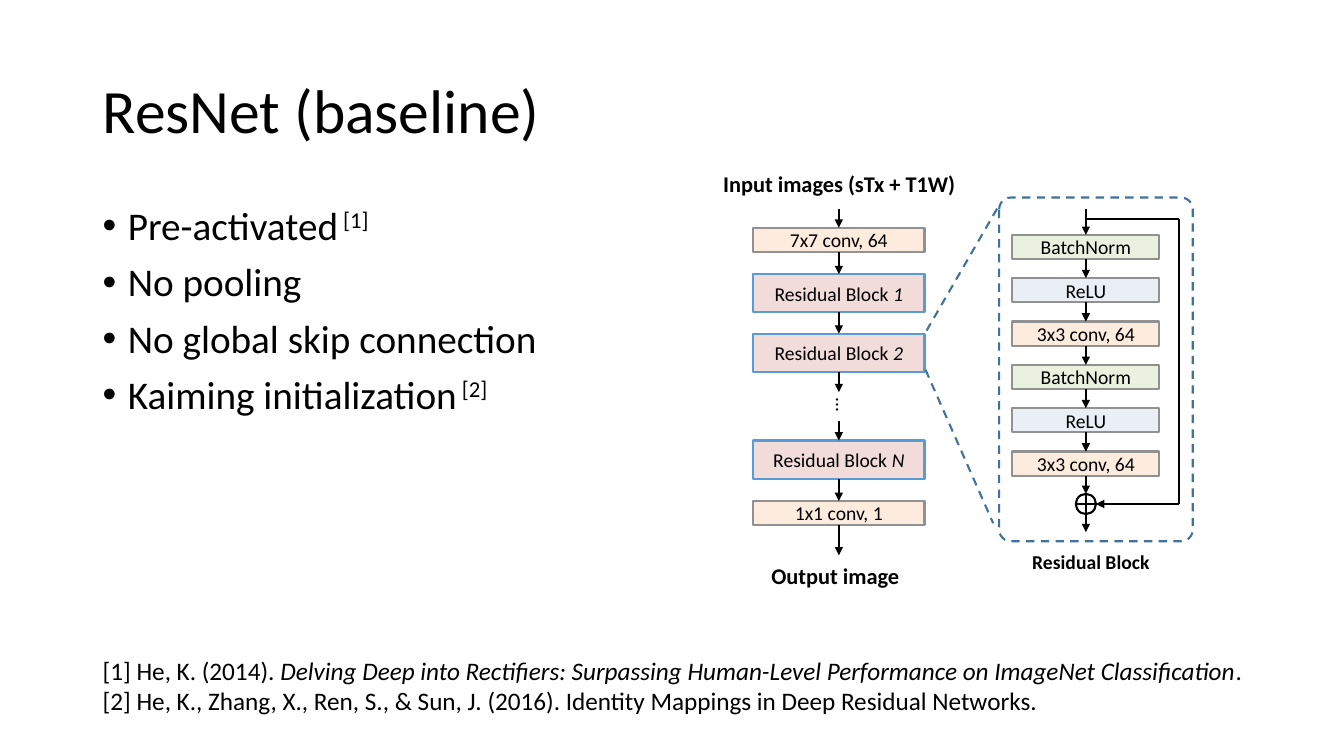
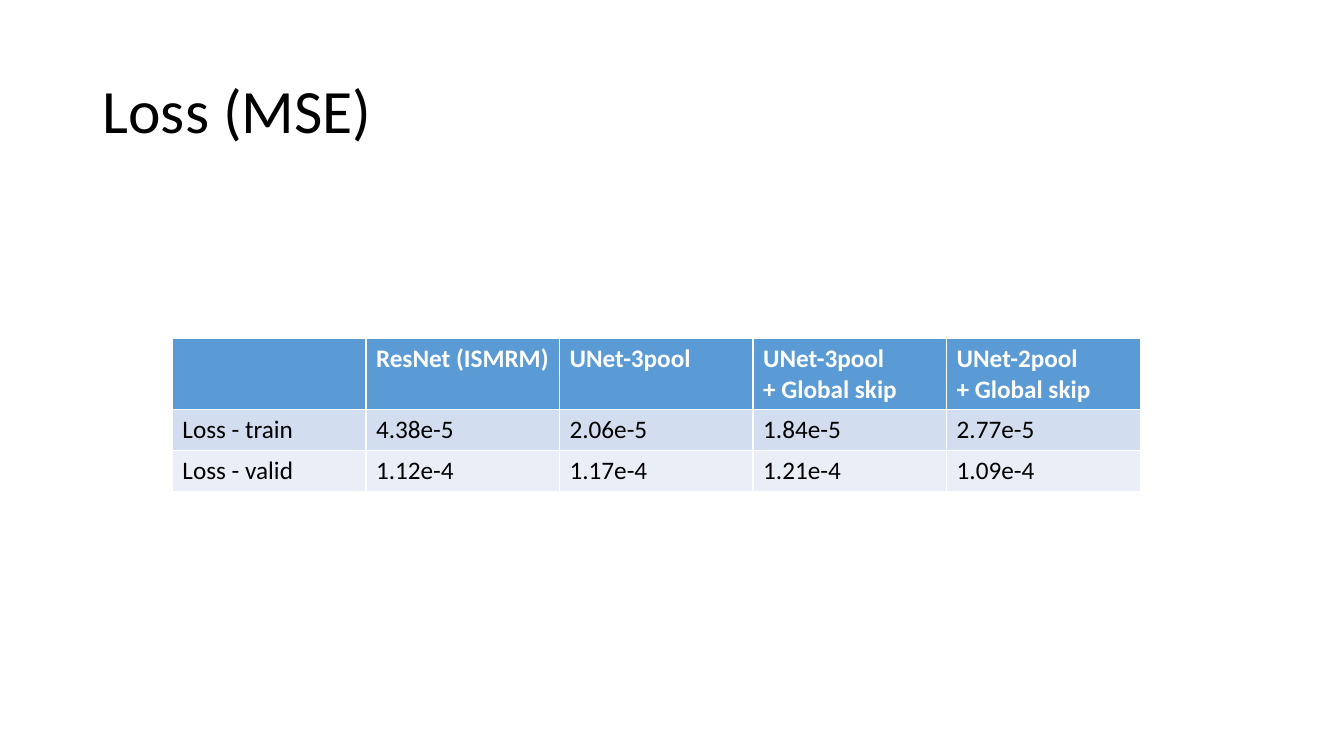
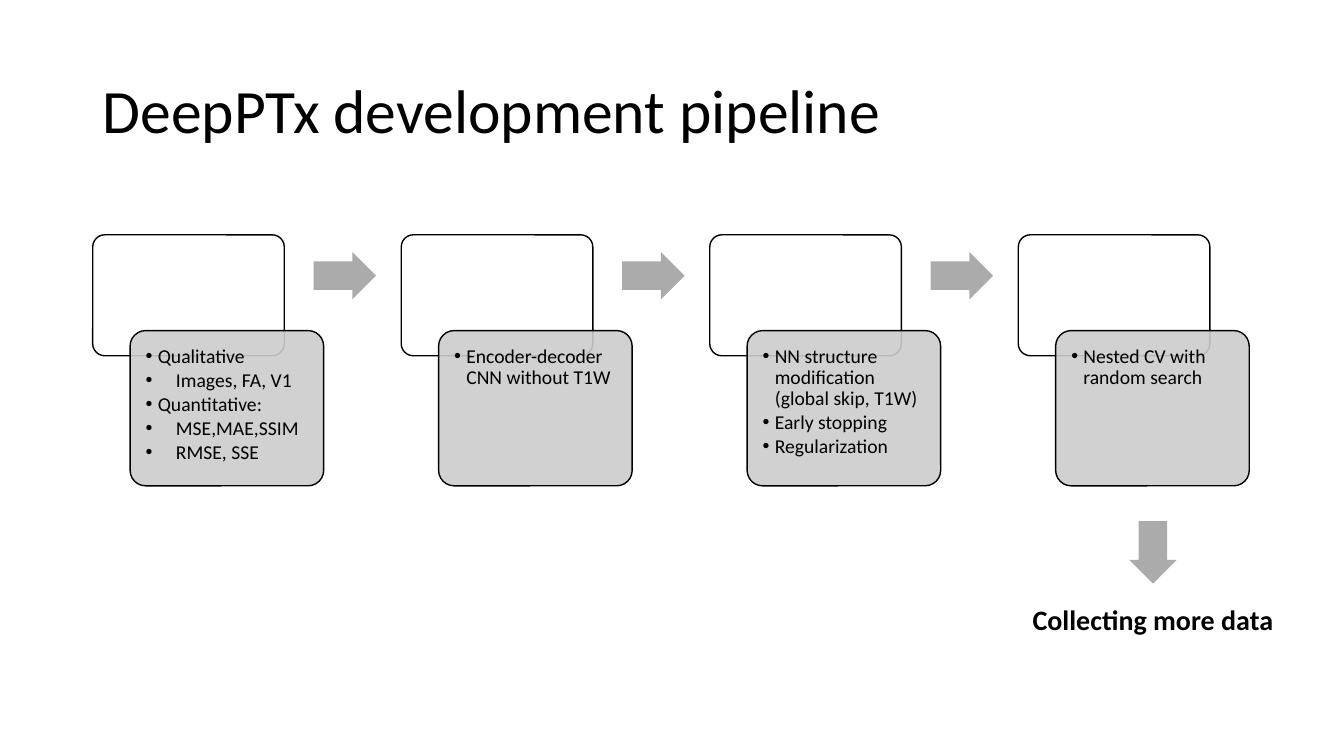
import pptx
import pptx.util
import pptx.dml.color
import pptx.enum.dml
import pptx.enum.shapes
import pptx.enum.text
import pptx.oxml
import pptx.oxml.ns

PX = 9144  # EMU; 100 px make one inch
FONT = "Calibri"
BLACK, WHITE = "000000", "FFFFFF"
CONV, NORM, RELU, RESIDUAL = "FDEBDD", "EBF1DF", "EAEFF5", "F2DCDA"
CHIP_EDGE, RESIDUAL_EDGE, DASH_EDGE = "919191", "5B9BD5", "41719C"
HEADER, BANDS = "5B9BD5", ("D2DEEF", "EAEFF7")
CARD, BLOCK_ARROW = "CCCCCC", "ABABAB"

SHAPE = pptx.enum.shapes.MSO_SHAPE
ALIGN = pptx.enum.text.PP_ALIGN
ANCHOR = pptx.enum.text.MSO_ANCHOR
DASH = pptx.enum.dml.MSO_LINE.DASH


def px(*values):
    return [pptx.util.Emu(value * PX) for value in values]


def rgb(color):
    return pptx.dml.color.RGBColor.from_string(color)


def drawingml(tag, **attributes):
    element = pptx.oxml.parse_xml(f"<a:{tag} {pptx.oxml.ns.nsdecls('a')}/>")
    for name, value in attributes.items():
        element.set(name, str(value))
    return element


def set_insets(frame, inset):
    (frame.margin_left, frame.margin_top,
     frame.margin_right, frame.margin_bottom) = px(inset, inset, inset, inset)


def add_para(frame, spans, size, color=BLACK, bold=False, align=None,
             spacing=None, before=None, after=None, hang=0, bullet=False):
    """Add a paragraph of (text, style) spans; style is "", "italic" or "super"."""
    para = frame.paragraphs[0]
    if para.runs:
        para = frame.add_paragraph()
    para.alignment = align
    para.line_spacing = spacing
    para.space_before = before
    para.space_after = after
    if hang:
        properties = para._p.get_or_add_pPr()
        properties.set("marL", str(hang * PX))
        properties.set("indent", str(-hang * PX))
        if bullet:
            properties.append(drawingml("buFont", typeface="Arial"))
            properties.append(drawingml("buChar", char="•"))
    for text, style in spans:
        span = para.add_run()
        span.text = text
        font = span.font
        font.name, font.size, font.bold = FONT, pptx.util.Pt(size), bold
        font.color.rgb = rgb(color)
        if style == "italic":
            font.italic = True
        if style == "super":
            span._r.get_or_add_rPr().set("baseline", "30000")


def add_text(page, left, top, width, height, wrap=True):
    box = page.shapes.add_textbox(*px(left, top, width, height))
    box.text_frame.word_wrap = wrap
    return box


def add_label(page, left, top, width, height, text, size):
    box = add_text(page, left, top, width, height, wrap=False)
    add_para(box.text_frame, [(text, "")], size, bold=True, align=ALIGN.CENTER)


def add_box(page, kind, left, top, width, height, fill=None, edge=None,
            weight=1.5, dash=None, adjust=()):
    box = page.shapes.add_shape(kind, *px(left, top, width, height))
    box.shadow.inherit = False
    for index, value in enumerate(adjust):
        box.adjustments[index] = value
    if fill:
        box.fill.solid()
        box.fill.fore_color.rgb = rgb(fill)
    else:
        box.fill.background()
    if edge:
        box.line.color.rgb = rgb(edge)
        box.line.width = pptx.util.Pt(weight)
        box.line.dash_style = dash
    else:
        box.line.fill.background()
    return box


def add_line(page, start, end, color=BLACK, dash=None, arrow=False):
    line = page.shapes.add_connector(
        pptx.enum.shapes.MSO_CONNECTOR.STRAIGHT, *px(*start, *end))
    line.line.color.rgb = rgb(color)
    line.line.width = pptx.util.Pt(1.5)
    line.line.dash_style = dash
    if arrow:
        line.line._get_or_add_ln().append(drawingml("tailEnd", type="triangle"))
    line._element.spPr.append(drawingml("effectLst"))
    return line


def add_down_arrow(page, x, top, bottom, above=None, below=None):
    """Arrow from top to bottom, joined to the boxes above and below if given."""
    arrow = add_line(page, (x, top), (x, bottom), arrow=True)
    if above is not None:
        arrow.begin_connect(above, 2)
    if below is not None:
        arrow.end_connect(below, 0)


def add_layer(page, left, top, width, height, spans, fill, edge=CHIP_EDGE):
    layer = add_box(page, SHAPE.RECTANGLE, left, top, width, height, fill, edge)
    frame = layer.text_frame
    set_insets(frame, 0)
    frame.vertical_anchor = ANCHOR.MIDDLE
    add_para(frame, spans, 14, align=ALIGN.CENTER)
    return layer


def add_page(deck, title):
    page = deck.slides.add_slide(deck.slide_layouts[6])
    frame = add_text(page, 92, 40, 1150, 145).text_frame
    frame.vertical_anchor = ANCHOR.MIDDLE
    add_para(frame, [(title, "")], 44, spacing=0.9)
    return page


def draw_network(page, left, top):
    """Column of the whole network, from input to output."""
    width, thin, thick = 170, 24, 38
    center = left + width // 2
    add_label(page, left - 41, top, 253, 37, "Input images (sTx + T1W)", 16)
    add_label(page, left + 7, top + 389, 149, 37, "Output image", 16)

    def conv(offset, name):
        return add_layer(page, left, top + offset, width, thin, [(name, "")], CONV)

    def residual(offset, number):
        spans = [("Residual Block ", ""), (number, "italic")]
        return add_layer(page, left, top + offset, width, thick, spans,
                         RESIDUAL, RESIDUAL_EDGE)

    first, block_1, block_2 = conv(62, "7x7 conv, 64"), residual(108, "1"), residual(167, "2")
    block_n, last = residual(273, "N"), conv(333, "1x1 conv, 1")
    for start, end, above, below in [
            (43, 62, None, first), (86, 108, first, block_1),
            (146, 167, block_1, block_2), (205, 225, block_2, None),
            (254, 273, None, block_n), (311, 333, block_n, last),
            (357, 387, last, None)]:
        add_down_arrow(page, center, top + start, top + end, above, below)

    dots = add_text(page, left + 72, top + 221, 35, 34, wrap=False)
    dots.rotation = 90
    dots.text_frame.auto_size = pptx.enum.text.MSO_AUTO_SIZE.SHAPE_TO_FIT_TEXT
    add_para(dots.text_frame, [("...", "")], 14)


def draw_residual_block(page, left, top):
    """Dashed panel with the layers inside one residual block."""
    add_box(page, SHAPE.ROUNDED_RECTANGLE, left, top, 192, 341,
            edge=DASH_EDGE, dash=DASH, adjust=[0.06])
    add_label(page, left + 20, top + 345, 142, 34, "Residual Block", 14)
    width, height, pitch = 146, 24, 43
    layer_left, layer_top = left + 13, top + 37
    center = layer_left + width // 2
    steps = [("BatchNorm", NORM), ("ReLU", RELU), ("3x3 conv, 64", CONV)] * 2
    above, start = None, top + 11
    for index, (name, fill) in enumerate(steps):
        y = layer_top + index * pitch
        layer = add_layer(page, layer_left, y, width, height, [(name, "")], fill)
        add_down_arrow(page, center, start, y, above, layer)
        above, start = layer, y + height

    radius, sum_y = 10, top + 304
    add_down_arrow(page, center, start, sum_y - radius, above)
    add_box(page, SHAPE.FLOWCHART_OR, center - radius, sum_y - radius,
            2 * radius, 2 * radius, edge=BLACK)
    add_down_arrow(page, center, sum_y + radius, top + 332)

    skip_x, skip_y = left + 178, top + 21
    add_line(page, (center, skip_y), (skip_x, skip_y))
    add_line(page, (skip_x, skip_y), (skip_x, sum_y))
    add_line(page, (skip_x, sum_y), (center + radius, sum_y), arrow=True)


def build_resnet(deck):
    page = add_page(deck, "ResNet (baseline)")
    body = add_text(page, 92, 200, 524, 476).text_frame
    for text, mark in [("Pre-activated", " [1]"), ("No pooling", ""),
                       ("No global skip connection", ""),
                       ("Kaiming initialization", " [2]")]:
        spans = [(text, "")] + ([(mark, "super")] if mark else [])
        add_para(body, spans, 28, spacing=0.9, before=pptx.util.Pt(10),
                 hang=25, bullet=True)

    draw_network(page, 747, 164)
    draw_residual_block(page, 991, 196)
    for start, end in [((919, 328), (989, 207)), ((918, 367), (985, 519))]:
        add_line(page, start, end, DASH_EDGE, DASH)

    references = add_text(page, 92, 645, 1198, 71).text_frame
    for spans in [
            [("[1] He, K. (2014). ", ""),
             ("Delving Deep into Rectifiers: Surpassing Human-Level Performance "
              "on ImageNet Classification", "italic"), (".", "")],
            [("[2] He, K., Zhang, X., Ren, S., & Sun, J. (2016). "
              "Identity Mappings in Deep Residual Networks.", "")]]:
        add_para(references, spans, 18, hang=33)


def draw_loss_table(page, left, top):
    rows = [
        ["", "ResNet (ISMRM)", "UNet-3pool", "UNet-3pool\n+ Global skip",
         "UNet-2pool\n+ Global skip"],
        ["Loss - train", "4.38e-5", "2.06e-5", "1.84e-5", "2.77e-5"],
        ["Loss - valid", "1.12e-4", "1.17e-4", "1.21e-4", "1.09e-4"]]
    heights, column = [70, 41, 41], 192
    table = page.shapes.add_table(
        len(rows), len(rows[0]),
        *px(left, top, column * len(rows[0]), sum(heights))).table
    for table_column in table.columns:
        table_column.width = px(column)[0]
    for y, (texts, height) in enumerate(zip(rows, heights)):
        table.rows[y].height = px(height)[0]
        is_header = y == 0
        for x, text in enumerate(texts):
            cell = table.cell(y, x)
            cell.fill.solid()
            cell.fill.fore_color.rgb = rgb(HEADER if is_header else BANDS[y - 1])
            for line in text.splitlines():
                add_para(cell.text_frame, [(line, "")], 18,
                         WHITE if is_header else BLACK, is_header)


def build_loss(deck):
    page = add_page(deck, "Loss (MSE)")
    draw_loss_table(page, 171, 336)


def draw_stage(page, left, top, items):
    """White frame with a grey card of (text, hang) bullets over its corner."""
    add_box(page, SHAPE.ROUNDED_RECTANGLE, left, top, 190, 120, WHITE, BLACK,
            1, adjust=[0.1])
    card = add_box(page, SHAPE.ROUNDED_RECTANGLE, left + 37, top + 95, 192, 154,
                   CARD, BLACK, 1, adjust=[0.1])
    color = card._element.spPr.find(".//" + pptx.oxml.ns.qn("a:srgbClr"))
    color.append(drawingml("alpha", val=90000))
    frame = card.text_frame
    frame.word_wrap = True
    frame.vertical_anchor = ANCHOR.TOP
    set_insets(frame, 11)
    for text, hang in items:
        add_para(frame, [(text, "")], 14, align=ALIGN.LEFT, spacing=0.9,
                 after=pptx.util.Pt(2), hang=hang, bullet=True)


def build_pipeline(deck):
    page = add_page(deck, "DeepPTx development pipeline")
    main, sub = 12, 30
    stages = [
        [("Qualitative", main), ("Images, FA, V1", sub), ("Quantitative:", main),
         ("MSE,MAE,SSIM", sub), ("RMSE, SSE", sub)],
        [("Encoder-decoder CNN without T1W", main)],
        [("NN structure modification (global skip, T1W)", main),
         ("Early stopping", main), ("Regularization", main)],
        [("Nested CV with random search", main)]]
    left, top, pitch = 92, 233, 306
    for index, items in enumerate(stages):
        x = left + index * pitch
        draw_stage(page, x, top, items)
        if index < len(stages) - 1:
            add_box(page, SHAPE.RIGHT_ARROW, x + 219, top + 17, 62, 47,
                    BLOCK_ARROW, adjust=[0.6, 0.5])
    add_box(page, SHAPE.DOWN_ARROW, 1120, 517, 47, 62, BLOCK_ARROW,
            adjust=[0.6, 0.5])
    add_label(page, 1013, 593, 261, 44, "Collecting more data", 20)


def main():
    deck = pptx.Presentation()
    deck.slide_width, deck.slide_height = px(1333, 750)
    build_resnet(deck)
    build_loss(deck)
    build_pipeline(deck)
    deck.save("out.pptx")


if __name__ == "__main__":
    main()
